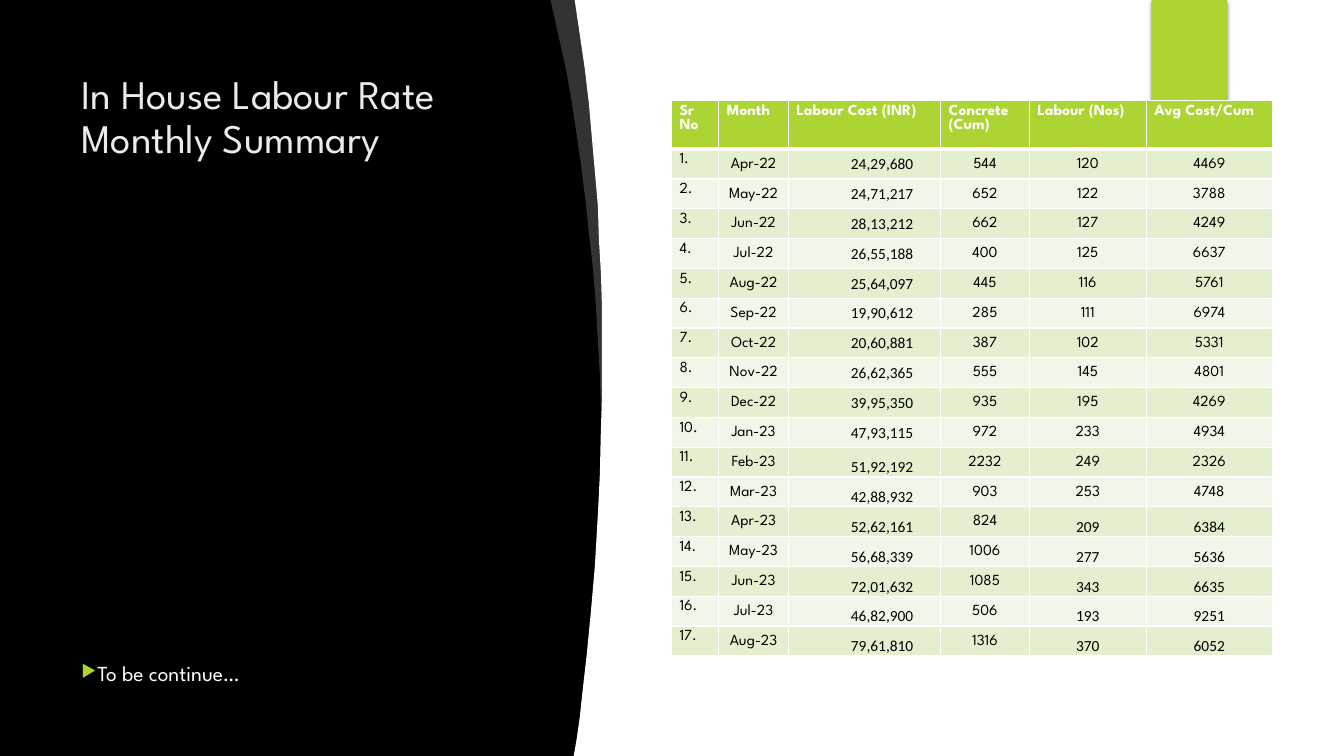
from lxml.etree import SubElement
from pptx import Presentation
from pptx.dml.color import RGBColor
from pptx.enum.shapes import MSO_SHAPE
from pptx.enum.text import MSO_ANCHOR, PP_ALIGN
from pptx.oxml import parse_xml
from pptx.oxml.ns import nsdecls, qn
from pptx.util import Inches, Pt

BLACK = RGBColor(0x00, 0x00, 0x00)
WHITE = RGBColor(0xFF, 0xFF, 0xFF)
TITLE_GREY = RGBColor(0xEB, 0xEB, 0xEB)
LIME = RGBColor(0xAC, 0xD4, 0x33)
BANDS = (RGBColor(0xE3, 0xEF, 0xCE), RGBColor(0xF1, 0xF7, 0xE8))
FONT, COST_FONT = "League Spartan", "Calibri"

HEADERS = ("Sr No", "Month", "Labour Cost (INR)", "Concrete (Cum)", "Labour (Nos)", "Avg Cost/Cum")
RATES = (
    ("Apr-22", "24,29,680", "544", "120", "4469"),
    ("May-22", "24,71,217", "652", "122", "3788"),
    ("Jun-22", "28,13,212", "662", "127", "4249"),
    ("Jul-22", "26,55,188", "400", "125", "6637"),
    ("Aug-22", "25,64,097", "445", "116", "5761"),
    ("Sep-22", "19,90,612", "285", "111", "6974"),
    ("Oct-22", "20,60,881", "387", "102", "5331"),
    ("Nov-22", "26,62,365", "555", "145", "4801"),
    ("Dec-22", "39,95,350", "935", "195", "4269"),
    ("Jan-23", "47,93,115", "972", "233", "4934"),
    ("Feb-23", "51,92,192", "2232", "249", "2326"),
    ("Mar-23", "42,88,932", "903", "253", "4748"),
    ("Apr-23", "52,62,161", "824", "209", "6384"),
    ("May-23", "56,68,339", "1006", "277", "5636"),
    ("Jun-23", "72,01,632", "1085", "343", "6635"),
    ("Jul-23", "46,82,900", "506", "193", "9251"),
    ("Aug-23", "79,61,810", "1316", "370", "6052"),
)
COLUMN_WIDTHS = (0.47, 0.69, 1.51, 0.88, 1.16, 1.25)
HEADER_HEIGHT, TABLE_HEIGHT = 0.48, 5.51
COST_COLUMN = 2
FIRST_LOW_COST, FIRST_LOW_LABOUR = 11, 13

PANEL_EDGE = (
    (5.7, 0), (5.75, 0.34), (5.8, 0.68), (5.84, 1.02), (5.87, 1.36), (5.9, 1.7),
    (5.93, 2.04), (5.94, 2.37), (5.96, 2.7), (5.97, 3.02), (5.97, 3.5), (5.97, 3.96),
    (5.96, 4.26), (5.95, 4.7), (5.93, 5.11), (5.9, 5.62), (5.86, 6.08), (5.82, 6.49),
    (5.78, 6.84), (5.75, 7.12), (5.72, 7.33), (5.69, 7.5),
)
WEDGE_EDGE = (
    (5.96, 4.06), (5.95, 3.73), (5.93, 3.38), (5.91, 3.02), (5.88, 2.65), (5.85, 2.39),
    (5.81, 2.01), (5.76, 1.61), (5.72, 1.34), (5.66, 0.94), (5.61, 0.67), (5.55, 0.4),
    (5.46, 0),
)
WEDGE_OUTER = ((5.98, 0), (6.03, 0.9), (6.06, 2), (6.06, 3.1), (6.03, 4.02))


class SlideBuilder:
    def __init__(self, prs):
        self.s = prs.slides.add_slide(prs.slide_layouts[6])
        self.s.background.fill.solid()
        self.s.background.fill.fore_color.rgb = BLACK

    def style(self, p, size, color, font=FONT, bold=False):
        p.font.name, p.font.size = font, Pt(size)
        p.font.color.rgb, p.font.bold = color, bold

    def paint(self, sp, color):
        sp.shadow.inherit = False
        sp.fill.solid()
        sp.fill.fore_color.rgb = color
        sp.line.fill.background()
        return sp

    def text(self, x, y, w, h, text, size, color):
        tf = self.s.shapes.add_textbox(Inches(x), Inches(y), Inches(w), Inches(h)).text_frame
        tf.word_wrap = True
        p = tf.paragraphs[0]
        p.text = text
        self.style(p, size, color)
        return p

    def bullet(self, p):
        pPr = p._p.get_or_add_pPr()
        pPr.set("marL", "0")
        pPr.set("indent", "0")
        for tag, child in (
            ("buClr", f'<a:srgbClr val="{LIME}"/>'),
            ("buSzPct", None),
            ("buChar", None),
        ):
            attrs = {"buSzPct": 'val="80000"', "buChar": 'char="▶"'}.get(tag, "")
            mark = parse_xml(f'<a:{tag} {nsdecls("a")} {attrs}>{child or ""}</a:{tag}>')
            pPr.insert_element_before(mark, "a:tabLst", "a:defRPr", "a:extLst")

    def rect(self, x, y, w, h, color):
        sp = self.s.shapes.add_shape(
            MSO_SHAPE.RECTANGLE, Inches(x), Inches(y), Inches(w), Inches(h))
        return self.paint(sp, color)

    def outline(self, points, color):
        start, *rest = [(Inches(x), Inches(y)) for x, y in points]
        builder = self.s.shapes.build_freeform(*start)
        builder.add_line_segments(rest, close=True)
        return self.paint(builder.convert_to_shape(), color)

    def fade(self, sp, percent):
        color = sp._element.spPr.find(qn("a:solidFill"))[0]
        SubElement(color, qn("a:alpha"), val=str(percent * 1000))

    def drop_shadow(self, sp):
        effects = sp._element.spPr.find(qn("a:effectLst"))
        effects.append(parse_xml(
            f'<a:outerShdw {nsdecls("a")} blurRad="{Pt(3)}" dist="{Pt(2)}" dir="5400000" '
            f'rotWithShape="0"><a:srgbClr val="{BLACK}"><a:alpha val="45000"/></a:srgbClr>'
            '</a:outerShdw>'))

    def cell(self, cell, text, fill, color, font=FONT, bold=False, align=PP_ALIGN.LEFT,
             anchor=MSO_ANCHOR.TOP, margins=(0.08, 0.04, 0.08, 0.04), bottom=1):
        cell.text = text
        p = cell.text_frame.paragraphs[0]
        p.alignment = align
        self.style(p, 11, color, font, bold)
        cell.vertical_anchor = anchor
        cell.margin_left, cell.margin_top, cell.margin_right, cell.margin_bottom = map(Inches, margins)
        tcPr = cell._tc.get_or_add_tcPr()
        for side, width in (("L", 1), ("R", 1), ("T", 1), ("B", bottom)):
            tcPr.append(parse_xml(
                f'<a:ln{side} {nsdecls("a")} w="{Pt(width)}"><a:solidFill>'
                f'<a:srgbClr val="{WHITE}"/></a:solidFill></a:ln{side}>'))
        cell.fill.solid()
        cell.fill.fore_color.rgb = fill

    def rate_table(self, x, y):
        table = self.s.shapes.add_table(
            len(RATES) + 1, len(HEADERS), Inches(x), Inches(y),
            Inches(sum(COLUMN_WIDTHS)), Inches(TABLE_HEIGHT)).table
        table.horz_banding = False
        for column, width in zip(table.columns, COLUMN_WIDTHS):
            column.width = Inches(width)
        for row in table.rows:
            row.height = Inches((TABLE_HEIGHT - HEADER_HEIGHT) / len(RATES))
        table.rows[0].height = Inches(HEADER_HEIGHT)
        for j, header in enumerate(HEADERS):
            self.cell(table.cell(0, j), header, LIME, WHITE, bold=True, bottom=3)
        for i, rate in enumerate(RATES, 1):
            fill = BANDS[(i - 1) % 2]
            self.cell(table.cell(i, 0), f"{i}.", fill, BLACK)
            for j, value in enumerate(rate, 1):
                is_cost = j == COST_COLUMN
                low = (is_cost and i >= FIRST_LOW_COST) or (j >= 4 and i >= FIRST_LOW_LABOUR)
                self.cell(
                    table.cell(i, j), value, fill, BLACK,
                    font=COST_FONT if is_cost or low else FONT,
                    align=PP_ALIGN.RIGHT if is_cost else PP_ALIGN.CENTER,
                    anchor=MSO_ANCHOR.BOTTOM if low else MSO_ANCHOR.MIDDLE,
                    margins=(0.01, 0.01, 0.27 if is_cost else 0.01, 0))


def main():
    prs = Presentation()
    prs.slide_width, prs.slide_height = Inches(13.33), Inches(7.5)
    slide = SlideBuilder(prs)
    title = slide.text(0.71, 0.69, 4.56, 1.77, "In House Labour Rate Monthly Summary", 29, TITLE_GREY)
    title.line_spacing = 0.9
    footer = slide.text(0.71, 6.5, 4.56, 0.3, "To be continue…", 15.3, WHITE)
    footer.space_before = Pt(10)
    slide.bullet(footer)
    wedge = slide.outline(WEDGE_OUTER + WEDGE_EDGE, WHITE)
    slide.fade(wedge, 20)
    slide.rect(6.66, 0, 6.67, 7.5, WHITE)
    slide.outline(PANEL_EDGE + ((7.16, 7.5), (7.16, 0)), WHITE)
    tab = slide.rect(11.42, 0, 0.75, 1.25, LIME)
    slide.drop_shadow(tab)
    slide.rate_table(6.66, 1)
    prs.save("out.pptx")


if __name__ == "__main__":
    main()
